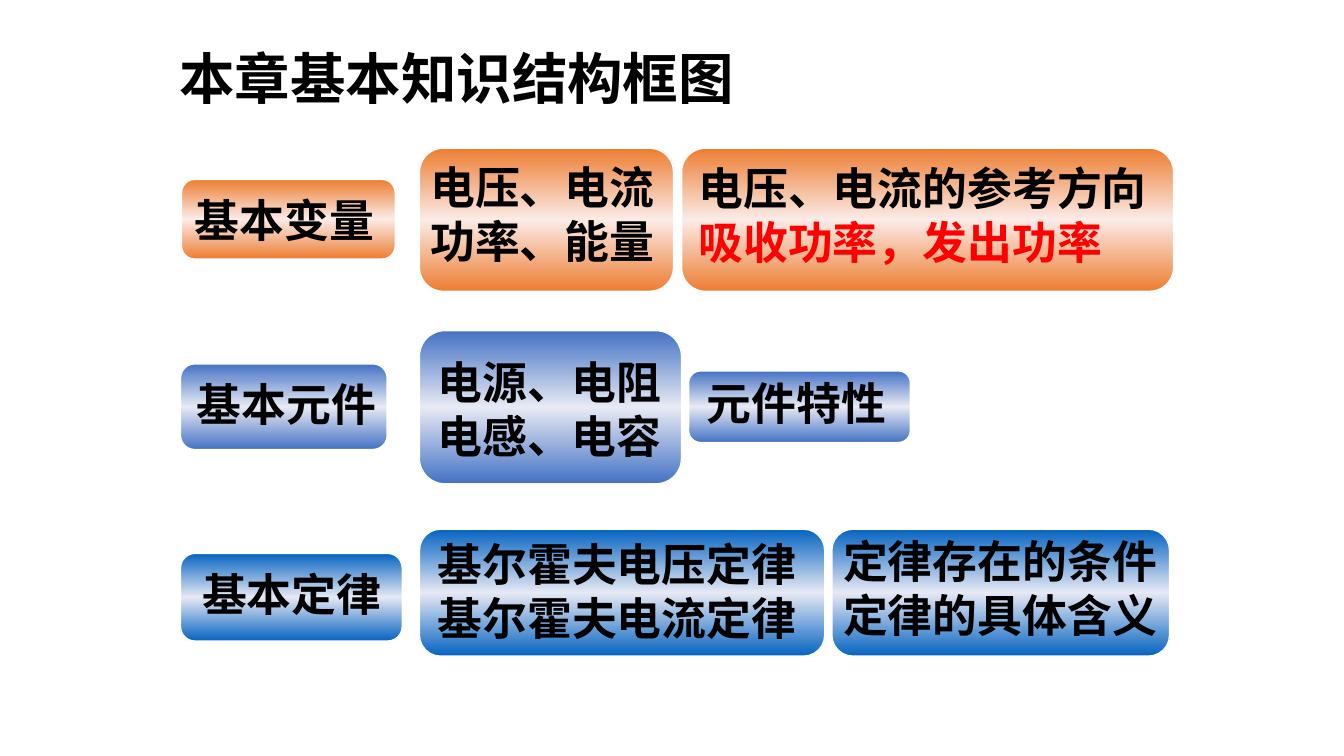
from copy import deepcopy

from pptx import Presentation
from pptx.dml.color import RGBColor
from pptx.enum.shapes import MSO_SHAPE as Shape
from pptx.enum.text import MSO_ANCHOR as Anchor, MSO_AUTO_SIZE as AutoSize, PP_ALIGN as Align
from pptx.oxml.ns import qn
from pptx.util import Inches, Pt

BLACK, RED, WHITE = "000000", "FF0000", "FFFFFF"
ORANGE = ("ED7D31", "FBEBE7")
INDIGO = ("4472C4", "E7EAF4")
BLUE = ("0563C1", "E6E9F4")

# Each row: gradient colours, then cards of (box, text box, lines, alignment).
ROWS = [
    (ORANGE, [
        ((1.8, 1.78, 2.12, 0.79), (1.72, 1.86, 2.2, 0.63), ["基本变量"], Align.CENTER),
        ((4.16, 1.47, 2.52, 1.42), (4.08, 1.54, 2.6, 1.17),
         ["电压、电流", "功率、能量"], Align.CENTER),
        ((6.76, 1.47, 4.88, 1.42), (6.83, 1.55, 4.8, 1.23),
         ["电压、电流的参考方向", ("吸收功率，发出功率", RED)], Align.LEFT),
    ]),
    (INDIGO, [
        ((1.79, 3.61, 2.05, 0.85), (1.84, 3.69, 2, 0.63), ["基本元件"], Align.CENTER),
        ((4.16, 3.28, 2.6, 1.52), (4.24, 3.47, 2.71, 0.99),
         ["电源、电阻电感、电容"], Align.LEFT),
        ((6.83, 3.68, 2.2, 0.71), (6.91, 3.68, 2.05, 0.63), ["元件特性"], Align.LEFT),
    ]),
    (BLUE, [
        ((1.79, 5.49, 2.2, 0.87), (1.87, 5.57, 2.05, 0.63), ["基本定律"], Align.CENTER),
        ((4.16, 5.25, 4.02, 1.26), (4.15, 5.28, 3.94, 1.34),
         ["基尔霍夫电压定律", "基尔霍夫电流定律"], Align.CENTER),
        ((8.25, 5.25, 3.35, 1.26), (8.17, 5.25, 3.5, 1.17),
         ["定律存在的条件", "定律的具体含义"], Align.CENTER),
    ]),
]


def rgb(color):
    return RGBColor.from_string(color)


def add_text(shapes, box, lines, size=32, font="Arial", align=Align.LEFT,
             anchor=Anchor.TOP, spacing=None, fit=AutoSize.NONE):
    """Add bold lines; a line is a string or a (string, colour) pair."""
    frame = shapes.add_textbox(*map(Inches, box)).text_frame
    frame.word_wrap = True
    frame.auto_size = fit
    frame.vertical_anchor = anchor
    for index, line in enumerate(lines):
        text, color = (line, BLACK) if isinstance(line, str) else line
        para = frame.add_paragraph() if index else frame.paragraphs[0]
        para.alignment = align
        para.line_spacing = spacing
        span = para.add_run()
        span.text = text
        span.font.size = Pt(size)
        span.font.bold = True
        span.font.name = font
        span.font.color.rgb = rgb(color)
        east_asian = span.font._element.makeelement(qn("a:ea"), {"typeface": font})
        span.font._element.find(qn("a:latin")).addnext(east_asian)


def fill_band(fill, edge, middle):
    """Fill with a vertical gradient that is lightest halfway down."""
    fill.gradient()
    fill.gradient_angle = 270
    first = fill._xPr.find(qn("a:gradFill")).find(qn("a:gsLst"))[0]
    first.addnext(deepcopy(first))
    for stop, position, color in zip(fill.gradient_stops, (0, 0.5, 1), (edge, middle, edge)):
        stop.position = position
        stop.color.rgb = rgb(color)


def add_card(page, box, text_box, lines, align, colors):
    group = page.shapes.add_group_shape()
    card = group.shapes.add_shape(Shape.ROUNDED_RECTANGLE, *map(Inches, box))
    card.shadow.inherit = False
    fill_band(card.fill, *colors)
    card.line.color.rgb = rgb(WHITE)
    card.line.width = Pt(1)
    add_text(group.shapes, text_box, lines, align=align, fit=AutoSize.SHAPE_TO_FIT_TEXT)


def main():
    deck = Presentation()
    deck.slide_width, deck.slide_height = Inches(13.33), Inches(7.5)
    page = deck.slides.add_slide(deck.slide_layouts[6])
    add_text(page.shapes, (1.68, 0.54, 8.42, 0.62), ["本章基本知识结构框图"], size=39.6,
             font="Noto Sans CJK SC", anchor=Anchor.MIDDLE, spacing=0.7)
    for colors, cards in ROWS:
        for box, text_box, lines, align in cards:
            add_card(page, box, text_box, lines, align, colors)
    deck.save("out.pptx")


if __name__ == "__main__":
    main()
